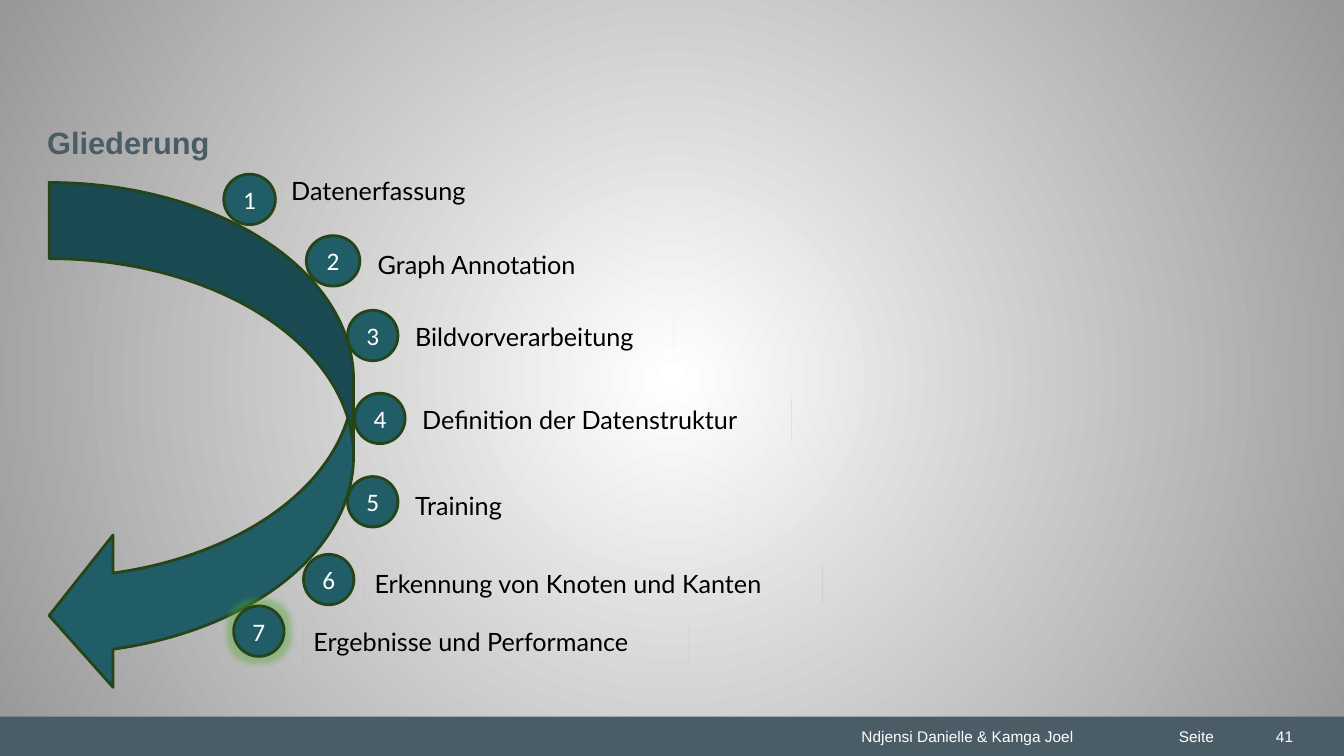
from dataclasses import dataclass

from lxml import etree
from pptx import Presentation
from pptx.dml.color import RGBColor
from pptx.enum.shapes import MSO_SHAPE
from pptx.enum.text import MSO_ANCHOR, MSO_AUTO_SIZE, PP_ALIGN
from pptx.oxml import parse_xml
from pptx.oxml.ns import nsdecls, qn
from pptx.util import Cm, Pt

RECTANGLE = MSO_SHAPE.RECTANGLE
CIRCLE = MSO_SHAPE.FLOWCHART_CONNECTOR
CURVED_ARROW = MSO_SHAPE.CURVED_LEFT_ARROW
TOP, MIDDLE = MSO_ANCHOR.TOP, MSO_ANCHOR.MIDDLE
LEFT, CENTER, RIGHT = PP_ALIGN.LEFT, PP_ALIGN.CENTER, PP_ALIGN.RIGHT
GROW = MSO_AUTO_SIZE.SHAPE_TO_FIT_TEXT
NO_FIT = MSO_AUTO_SIZE.NONE


@dataclass(frozen=True)
class Theme:
    slate: RGBColor = RGBColor(0x4A, 0x5C, 0x66)
    teal: RGBColor = RGBColor(0x21, 0x5D, 0x66)
    outline: RGBColor = RGBColor(0x25, 0x45, 0x19)
    white: RGBColor = RGBColor(0xFF, 0xFF, 0xFF)
    black: RGBColor = RGBColor(0, 0, 0)
    edge_gray: RGBColor = RGBColor(0x97, 0x97, 0x97)
    glow: str = "4EA72E"
    title_size: Pt = Pt(22)
    step_size: Pt = Pt(18)
    footer_size: Pt = Pt(11)
    head_font: str = "Arial"
    number_font: str = "Calibri"
    label_font: str = "Lato"


@dataclass(frozen=True)
class Box:
    left: float
    top: float
    width: float
    height: float

    def inner(self, left, top, width, height):
        """Return a box whose corner is measured from this one."""
        return Box(self.left + left, self.top + top, width, height)

    def lengths(self):
        return Cm(self.left), Cm(self.top), Cm(self.width), Cm(self.height)


@dataclass(frozen=True)
class Step:
    """An agenda step, placed from the corner of the agenda box."""
    number: int
    text: str
    circle: tuple
    label: tuple
    label_width: float
    circle_width: float = 1.27
    behind_arrow: bool = False
    filled: bool = True
    current: bool = False


THEME = Theme()
SLIDE = Box(0, 0, 33.87, 19.05)
LABEL_HEIGHT = 1.03
CIRCLE_HEIGHT = 1.27
STEPS = [
    Step(1, "Datenerfassung", (4.4, 0.1), (5.85, 0), 5.26, 1.3, behind_arrow=True),
    Step(2, "Graph Annotation", (6.48, 1.65), (8.03, 1.86), 6.12, 1.35, filled=False),
    Step(3, "Bildvorverarbeitung", (7.52, 3.53), (8.97, 3.69), 6.76, behind_arrow=True),
    Step(4, "Definition der Datenstruktur", (7.7, 5.62), (9.15, 5.77), 9.55,
         behind_arrow=True),
    Step(5, "Training", (7.52, 7.72), (8.97, 7.95), 8.48, behind_arrow=True),
    Step(6, "Erkennung von Knoten und Kanten", (6.41, 9.68), (7.95, 9.91), 11.53),
    Step(7, "Ergebnisse und Performance", (4.65, 10.98), (6.41, 11.38), 9.7,
         current=True),
]


def write(shape, text, font, size, color, align=LEFT, anchor=TOP, fit=NO_FIT):
    frame = shape.text_frame
    frame.word_wrap = True
    frame.auto_size = fit
    frame.vertical_anchor = anchor
    para = frame.paragraphs[0]
    para.text = text
    para.alignment = align
    para.font.name = font
    para.font.size = size
    para.font.color.rgb = color
    return para


def add_solid(page, kind, box, fill, line=None):
    shape = page.shapes.add_shape(kind, *box.lengths())
    shape.shadow.inherit = False
    shape.fill.solid()
    shape.fill.fore_color.rgb = fill
    if line is None:
        shape.line.fill.background()
    else:
        shape.line.color.rgb = line
        shape.line.width = Pt(2)
    return shape


def paint_background(page):
    """Shade the page radially from a white centre to gray corners."""
    fill = page.background.fill
    fill.gradient()
    for stop, color in zip(fill.gradient_stops, (THEME.white, THEME.edge_gray)):
        stop.color.rgb = color
    gradient = page.element.find(".//" + qn("a:gradFill"))
    gradient.remove(gradient.find(qn("a:lin")))
    gradient.append(parse_xml(
        f'<a:path {nsdecls("a")} path="circle">'
        '<a:fillToRect l="50000" t="50000" r="50000" b="50000"/></a:path>'))


def add_glow(shape):
    effects = shape.element.spPr.find(qn("a:effectLst"))
    glow = etree.SubElement(effects, qn("a:glow"), rad=str(Pt(8)))
    color = etree.SubElement(glow, qn("a:srgbClr"), val=THEME.glow)
    etree.SubElement(color, qn("a:alpha"), val="40000")


def add_footer(page, box):
    add_solid(page, RECTANGLE, box, THEME.slate)
    parts = [("Ndjensi Danielle & Kamga Joel", 21.46, 8, LEFT, TOP, GROW),
             ("Seite", 29.46, 2.13, LEFT, TOP, GROW),
             ("41", 31.06, 1.78, RIGHT, MIDDLE, NO_FIT)]
    for text, left, width, align, anchor, fit in parts:
        part = page.shapes.add_textbox(*box.inner(left, 0.13, width, 0.74).lengths())
        write(part, text, THEME.head_font, THEME.footer_size, THEME.white,
              align, anchor, fit)


def set_title(page, box, text):
    title = page.shapes.title
    title.left, title.top, title.width, title.height = box.lengths()
    para = write(title, text, THEME.head_font, THEME.title_size, THEME.slate)
    para.font.bold = True
    title.text_frame.margin_left = title.text_frame.margin_right = 0


def add_circle(page, box, step):
    circle = add_solid(page, CIRCLE,
                       box.inner(*step.circle, step.circle_width, CIRCLE_HEIGHT),
                       THEME.teal, THEME.outline)
    write(circle, str(step.number), THEME.number_font, THEME.step_size,
          THEME.white, CENTER, MIDDLE)
    if step.current:
        add_glow(circle)


def add_label(page, box, step):
    label = page.shapes.add_textbox(
        *box.inner(*step.label, step.label_width, LABEL_HEIGHT).lengths())
    if step.filled:
        label.fill.background()
        label.element.set("useBgFill", "1")
    write(label, step.text, THEME.label_font, THEME.step_size, THEME.black, fit=GROW)


def add_agenda(page, box):
    """Place numbered steps along a curved arrow, some of them behind it."""
    for step in STEPS:
        if step.behind_arrow:
            add_circle(page, box, step)
    arrow = add_solid(page, CURVED_ARROW, box.inner(0, 0.31, 7.67, 12.83),
                      THEME.teal, THEME.outline)
    for index, value in enumerate((0.25, 0.5, 0.21)):
        arrow.adjustments[index] = value
    for step in STEPS:
        add_label(page, box, step)
    for step in STEPS:
        if not step.behind_arrow:
            add_circle(page, box, step)


def main():
    deck = Presentation()
    deck.slide_width, deck.slide_height = Cm(SLIDE.width), Cm(SLIDE.height)
    page = deck.slides.add_slide(deck.slide_layouts[5])
    paint_background(page)
    add_footer(page, SLIDE.inner(0, 18.06, SLIDE.width, 0.99))
    set_title(page, SLIDE.inner(1.19, 3, 31.19, 1.6), "Gliederung")
    add_agenda(page, SLIDE.inner(1.24, 4.29, 19.48, 13.14))
    deck.save("out.pptx")


if __name__ == "__main__":
    main()
